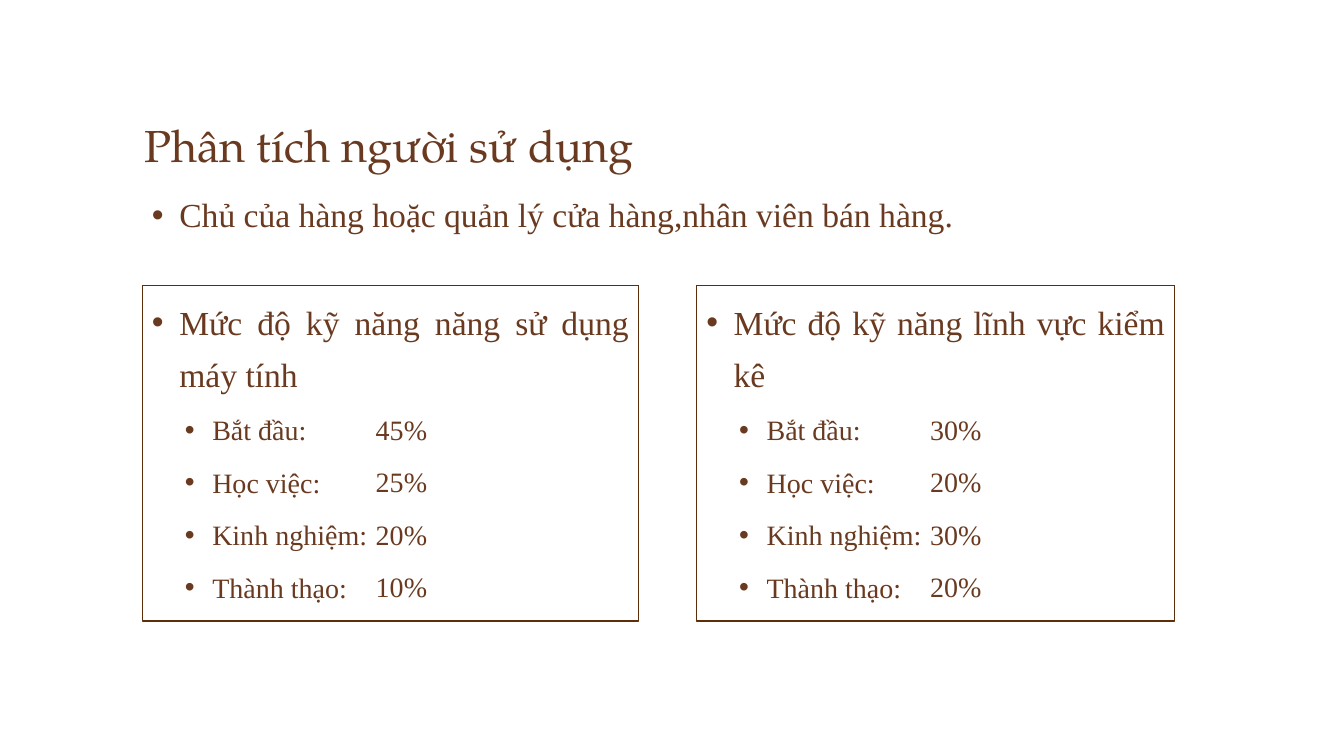
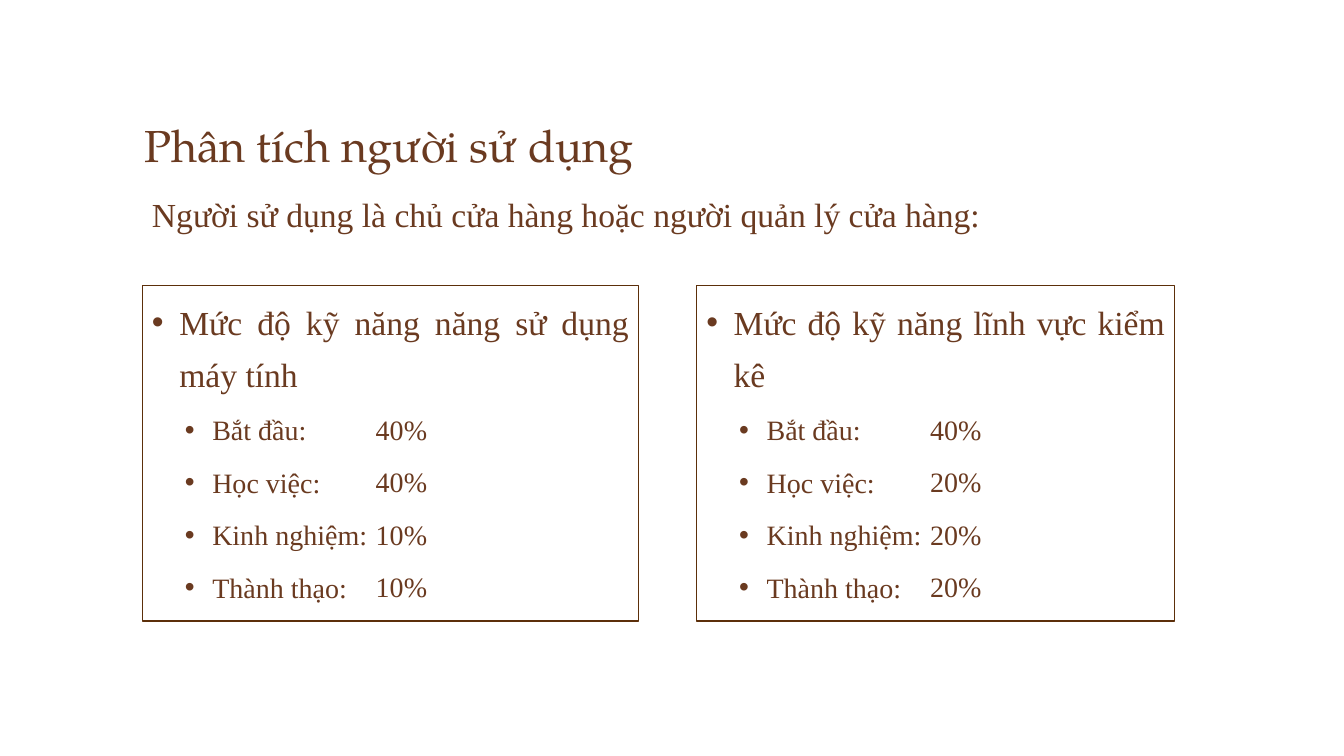
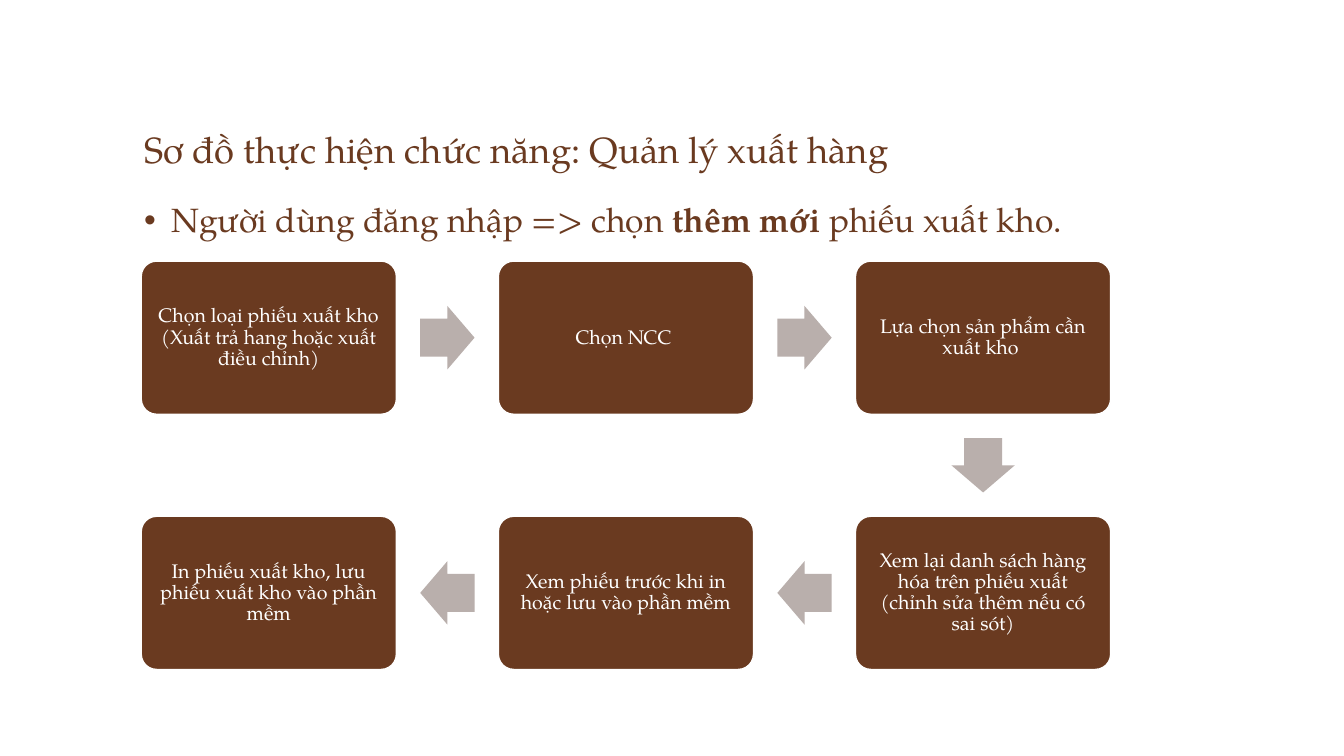
from itertools import pairwise

from lxml.etree import SubElement
from pptx import Presentation
from pptx.dml.color import RGBColor
from pptx.enum.shapes import MSO_SHAPE as Shape
from pptx.enum.text import MSO_ANCHOR as Anchor, PP_ALIGN as Align
from pptx.oxml.ns import qn
from pptx.util import Cm, Pt

BROWN, EDGE, GREY, WHITE = "6A3A20", "5C2F0A", "B9AFAC", "FFFFFF"
SERIF, ROMAN = "TeX Gyre Pagella", "Times New Roman"
HANG = 0.69

LEAD = dict(line_spacing=0.9, space_before=Pt(18))
GAPS = dict(space_before=Pt(3), space_after=Pt(3))
HEAD = dict(GAPS, alignment=Align.JUSTIFY, line_spacing=Pt(37.1))
ITEM = dict(GAPS, alignment=Align.JUSTIFY, line_spacing=Pt(31.4))
CARD = dict(alignment=Align.CENTER, line_spacing=0.9)

USER = "Phân tích người sử dụng"
LEVELS = ["Bắt đầu:", "Học việc:", "Kinh nghiệm:", "Thành thạo:"]
SKILLS = ["Mức độ kỹ năng năng sử dụng máy tính",
          "Mức độ kỹ năng lĩnh vực kiểm kê"]
STEPS = ["Chọn loại phiếu xuất kho (Xuất trả hang hoặc xuất điều chỉnh)",
         "Chọn NCC\t",
         "Lựa chọn sản phẩm cần xuất kho ",
         "Xem lại danh sách hàng hóa trên phiếu xuất (chỉnh sửa thêm nếu có sai sót)",
         "Xem phiếu trước khi in hoặc lưu vào phần mềm",
         "In phiếu xuất kho, lưu phiếu xuất kho vào phần mềm"]


def color(code):
    return RGBColor.from_string(code)


def apply(item, form):
    """Set each attribute named in a dict of format values."""
    for name, value in form.items():
        setattr(item, name, value)


def bullet(para, left):
    """Hang a round bullet in front of text that starts at left."""
    props = para._p.get_or_add_pPr()
    props.set("marL", str(Cm(left)))
    props.set("indent", str(-Cm(HANG)))
    tint = SubElement(props, qn("a:buClr"))
    SubElement(tint, qn("a:srgbClr")).set("val", BROWN)
    SubElement(props, qn("a:buFont")).set("typeface", "Arial")
    SubElement(props, qn("a:buChar")).set("char", "•")


def write(frame, num, runs, size, font, form, ink=BROWN, left=0):
    """Fill paragraph num with (text, bold) runs; left above 0 adds a bullet."""
    para = frame.paragraphs[0] if num == 0 else frame.add_paragraph()
    apply(para, form)
    if left:
        bullet(para, left)
    for text, bold in runs:
        run = para.add_run()
        run.text = text
        apply(run.font, dict(name=font, size=Pt(size), bold=bold))
        run.font.color.rgb = color(ink)


def textbox(slide, box, anchor=Anchor.TOP):
    frame = slide.shapes.add_textbox(*map(Cm, box)).text_frame
    apply(frame, dict(word_wrap=True, vertical_anchor=anchor))
    return frame


def shape(slide, kind, box, fill=None, line=None, width=1):
    item = slide.shapes.add_shape(kind, *map(Cm, box))
    item.shadow.inherit = False
    if fill:
        item.fill.solid()
        item.fill.fore_color.rgb = color(fill)
    else:
        item.fill.background()
    if line:
        item.line.color.rgb = color(line)
        item.line.width = Pt(width)
    else:
        item.line.fill.background()
    return item


def title(slide, text, size):
    frame = textbox(slide, (3.38, 1.19, 27.08, 3.25), Anchor.BOTTOM)
    write(frame, 0, [(text, False)], size, SERIF, {})


def panel(slide, box, head, rates):
    """Draw a framed list of levels with a column of rates."""
    x, y, _, high = box
    frame = shape(slide, Shape.RECTANGLE, box, line=EDGE, width=0.75).text_frame
    apply(frame, dict(word_wrap=True, vertical_anchor=Anchor.TOP))
    write(frame, 0, [(head, False)], 24, ROMAN, HEAD, left=HANG)
    column = textbox(slide, (x + 5.64, y + 2.82, 2.5, high - 2.82))
    for num, (level, rate) in enumerate(zip(LEVELS, rates)):
        write(frame, num + 1, [(level, False)], 20, ROMAN, ITEM, left=1.52)
        write(column, num, [(f"{rate}%", False)], 20, ROMAN, ITEM)


def survey(slide, lead, left, rates):
    title(slide, USER, 32)
    frame = textbox(slide, (3.58, 4.88, 21.8, 2.34))
    write(frame, 0, [(lead, False)], 24, ROMAN, LEAD, left=left)
    for x, wide, head, part in zip((3.58, 17.55), (12.52, 12.06), SKILLS, rates):
        panel(slide, (x, 7.19, wide, 8.46), head, part)


def card(slide, box, text):
    item = shape(slide, Shape.ROUNDED_RECTANGLE, box, BROWN, WHITE)
    item.adjustments[0] = 0.1
    pad = Cm(0.27)
    apply(item.text_frame, dict(
        word_wrap=True, vertical_anchor=Anchor.MIDDLE, margin_left=pad,
        margin_right=pad, margin_top=pad, margin_bottom=pad))
    write(item.text_frame, 0, [(text, False)], 14, SERIF, CARD, WHITE)


def arrow(slide, start, end):
    """Place a block arrow midway between two card centres."""
    wide, high = 1.37, 1.6
    (x1, y1), (x2, y2) = start, end
    turn = 90 if y2 > y1 else 180 if x2 < x1 else 0
    box = ((x1 + x2 - wide) / 2, (y1 + y2 - high) / 2, wide, high)
    item = shape(slide, Shape.RIGHT_ARROW, box, GREY)
    item.adjustments[0] = 0.6
    item.rotation = turn


def flow(slide, box, steps, cols=3):
    """Lay the steps out in rows that run right, then back left."""
    x, y, wide, high = box
    spots = []
    for num, text in enumerate(steps):
        row, col = divmod(num, cols)
        col = cols - 1 - col if row % 2 else col
        left, top = x + col * 9, y + row * 6.43
        card(slide, (left, top, wide, high), text)
        spots.append((left + wide / 2, top + high / 2))
    for start, end in pairwise(spots):
        arrow(slide, start, end)


def process(slide):
    title(slide, "Sơ đồ thực hiện chức năng: Quản lý xuất hàng", 26)
    flow(slide, (3.56, 6.58, 6.43, 3.86), STEPS)
    frame = textbox(slide, (3.38, 5, 27.08, 1.5))
    runs = [("Người dùng đăng nhập => chọn ", False), ("thêm mới ", True),
            ("phiếu xuất kho.", False)]
    write(frame, 0, runs, 24, SERIF, LEAD, left=HANG)


def main():
    deck = Presentation()
    apply(deck, dict(slide_width=Cm(33.87), slide_height=Cm(19.05)))
    one, two, three = (deck.slides.add_slide(deck.slide_layouts[6])
                       for _ in range(3))
    survey(one, "Chủ của hàng hoặc quản lý cửa hàng,nhân viên bán hàng.", HANG,
           [(45, 25, 20, 10), (30, 20, 30, 20)])
    survey(two, "Người sử dụng là chủ cửa hàng hoặc người quản lý cửa hàng:", 0,
           [(40, 40, 10, 10), (40, 20, 20, 20)])
    process(three)
    deck.save("out.pptx")


if __name__ == "__main__":
    main()
